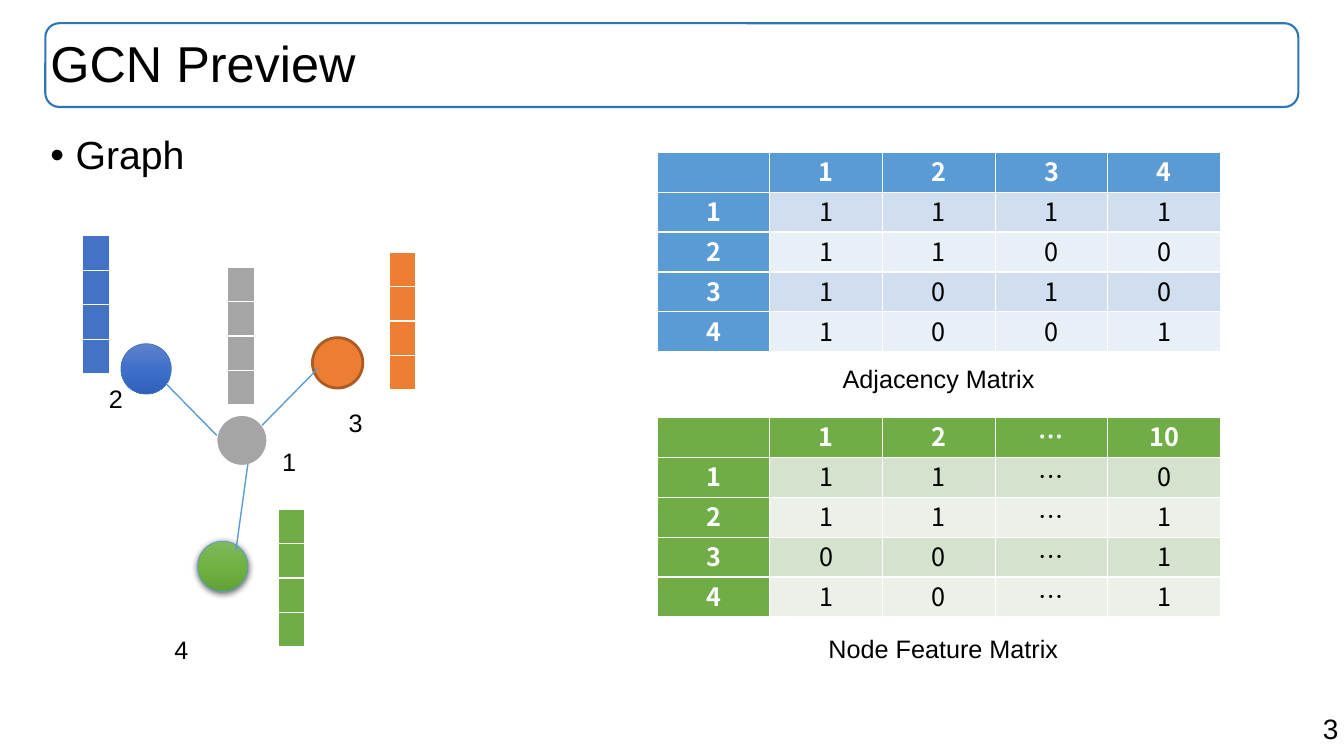
import copy

import pptx
import pptx.dml.color
import pptx.enum.shapes
import pptx.enum.text
import pptx.oxml
import pptx.oxml.ns
import pptx.util

Pt = pptx.util.Pt
RGB = pptx.dml.color.RGBColor
Shape = pptx.enum.shapes.MSO_SHAPE
Align = pptx.enum.text.PP_ALIGN
Anchor = pptx.enum.text.MSO_ANCHOR
Fit = pptx.enum.text.MSO_AUTO_SIZE
qn = pptx.oxml.ns.qn
DRAW = pptx.oxml.ns.nsdecls("a")

BLACK = RGB(0, 0, 0)
WHITE = RGB(255, 255, 255)
FRAME = RGB(0x2E, 0x75, 0xB6)
SKY = RGB(0x5B, 0x9B, 0xD5)
BLUE = RGB(0x44, 0x72, 0xC4)
GRAY = RGB(0xA5, 0xA5, 0xA5)
GREEN = RGB(0x70, 0xAD, 0x47)
ORANGE = RGB(0xED, 0x7D, 0x31)
RUST = RGB(0xAD, 0x5B, 0x24)
SKY_BANDS = RGB(0xD0, 0xDE, 0xEF), RGB(0xE9, 0xEF, 0xF7)
GREEN_BANDS = RGB(0xD4, 0xE2, 0xCE), RGB(0xEB, 0xF1, 0xE8)
BLUE_FADE = RGB(0x5F, 0x82, 0xCB), RGB(0x3E, 0x70, 0xCA), RGB(0x2F, 0x61, 0xBA)
GREEN_FADE = RGB(0x80, 0xB8, 0x60), RGB(0x6F, 0xB2, 0x42), RGB(0x61, 0xA2, 0x36)

ADJACENCY = [
    ["", "1", "2", "3", "4"],
    ["1", "1", "1", "1", "1"],
    ["2", "1", "1", "0", "0"],
    ["3", "1", "0", "1", "0"],
    ["4", "1", "0", "0", "1"],
]
FEATURES = [
    ["", "1", "2", "…", "10"],
    ["1", "1", "1", "…", "0"],
    ["2", "1", "1", "…", "1"],
    ["3", "0", "0", "…", "1"],
    ["4", "1", "0", "…", "1"],
]


def write(frame, text, size=18, font="Arial", color=BLACK, bold=False,
          align=Align.LEFT, space=None):
    para = frame.paragraphs[0]
    para.alignment = align
    if space:
        para.line_spacing = space
        para.space_before = Pt(0)
    run = para.add_run()
    run.text = text
    run.font.size = Pt(size)
    run.font.name = font
    run.font.bold = bold
    run.font.color.rgb = color


def inset(frame):
    frame.margin_left = frame.margin_right = Pt(3.6)
    frame.margin_top = frame.margin_bottom = Pt(3.6)


def place(holder, top, height, anchor):
    """Move a placeholder to the full-width column and reset its frame."""
    holder.left, holder.top = Pt(32.4), Pt(top)
    holder.width, holder.height = Pt(895), Pt(height)
    frame = holder.text_frame
    inset(frame)
    frame.auto_size = Fit.NONE
    frame.vertical_anchor = anchor
    return frame


def bullet(para):
    props = para._p.get_or_add_pPr()
    props.set("marL", str(Pt(18)))
    props.set("indent", str(-Pt(18)))
    props.append(pptx.oxml.parse_xml(f'<a:buFont {DRAW} typeface="Arial"/>'))
    props.append(pptx.oxml.parse_xml(f'<a:buChar {DRAW} char="•"/>'))


def label(slide, text, left, top, width, height=27.4, **style):
    box = slide.shapes.add_textbox(Pt(left), Pt(top), Pt(width), Pt(height))
    inset(box.text_frame)
    box.text_frame.word_wrap = False
    box.text_frame.auto_size = Fit.SHAPE_TO_FIT_TEXT
    write(box.text_frame, text, **style)


def outline(slide, kind, left, top, width, height, color, weight):
    shape = slide.shapes.add_shape(kind, Pt(left), Pt(top), Pt(width), Pt(height))
    shape.shadow.inherit = False
    shape.fill.background()
    shape.line.color.rgb = color
    shape.line.width = Pt(weight)
    return shape


def fade(shape, colors):
    """Fill from top to bottom with three evenly spaced colours."""
    shape.fill.gradient()
    shape.fill.gradient_angle = 270
    stops = shape._element.spPr.find(".//" + qn("a:gsLst"))
    stops.append(copy.deepcopy(stops[-1]))
    for i, color in enumerate(colors):
        stop = shape.fill.gradient_stops[i]
        stop.color.rgb = color
        stop.position = i / 2


def shade(shape):
    effects = shape._element.spPr.find(qn("a:effectLst"))
    effects.append(pptx.oxml.parse_xml(
        f'<a:outerShdw {DRAW} blurRad="{Pt(5)}" dist="{Pt(1.5)}" dir="5400000"'
        ' algn="ctr" rotWithShape="0"><a:srgbClr val="000000">'
        '<a:alpha val="63000"/></a:srgbClr></a:outerShdw>'))


def node(slide, left, top, fill, line, weight):
    dot = outline(slide, Shape.OVAL, left, top, 36, 36, line, weight)
    if isinstance(fill, RGB):
        dot.fill.solid()
        dot.fill.fore_color.rgb = fill
    else:
        fade(dot, fill)
    return dot


def edge(slide, x1, y1, x2, y2):
    line = slide.shapes.add_connector(
        pptx.enum.shapes.MSO_CONNECTOR.STRAIGHT, Pt(x1), Pt(y1), Pt(x2), Pt(y2))
    line.line.color.rgb = SKY
    line.line.width = Pt(1)
    line._element.spPr.append(pptx.oxml.parse_xml(f"<a:effectLst {DRAW}/>"))


def grid(slide, data, left, top, width, height, head, bands=None):
    """Table with a coloured head row and column, or one plain colour."""
    rows, cols = len(data), len(data[0])
    table = slide.shapes.add_table(
        rows, cols, Pt(left), Pt(top), Pt(width), Pt(height)).table
    table.first_row = table.first_col = bands is not None
    table.horz_banding = False
    for r, row in enumerate(data):
        table.rows[r].height = Pt(height / rows)
        for c, text in enumerate(row):
            cell = table.cell(r, c)
            cell.margin_left = cell.margin_right = Pt(0)
            cell.margin_top = cell.margin_bottom = Pt(0)
            main = not bands or r == 0 or c == 0
            cell.fill.solid()
            cell.fill.fore_color.rgb = head if main else bands[(r - 1) % 2]
            write(cell.text_frame, text, font="Noto Sans CJK KR", bold=main,
                  color=WHITE if main else BLACK, align=Align.CENTER)


def main():
    deck = pptx.Presentation()
    deck.slide_width, deck.slide_height = Pt(960), Pt(540)
    slide = deck.slides.add_slide(deck.slide_layouts[1])

    frame = outline(slide, Shape.ROUNDED_RECTANGLE, 32.4, 16.6, 895, 59.8, FRAME, 1.5)
    slide.shapes.title._element.addprevious(frame._element)
    title = place(slide.shapes.title, 17.3, 59.8, Anchor.MIDDLE)
    write(title, "GCN Preview", size=36, space=0.9)
    body = place(slide.placeholders[1], 93.6, 398.2, Anchor.TOP)
    write(body, "Graph", size=28, space=0.9)
    bullet(body.paragraphs[0])
    label(slide, "3", 940.3, 504.7, 19.4, 29.5, size=20, align=Align.RIGHT)

    node(slide, 86.4, 245.5, BLUE_FADE, BLUE, 0.5)
    node(slide, 154.8, 296.6, GRAY, WHITE, 1)
    shade(node(slide, 141.1, 386.6, GREEN_FADE, SKY, 0.5))
    node(slide, 223.2, 241.2, ORANGE, RUST, 2)
    for left, top, color in [(162.7, 190.8, GRAY), (59, 168.5, BLUE),
                             (198.7, 363.6, GREEN), (277.9, 180, ORANGE)]:
        grid(slide, [[""]] * 4, left, top, 19.1, 98.6, color)
    for text, left, top in [("1", 198, 315.4), ("3", 245.5, 287.3),
                            ("2", 74.2, 270), ("4", 121, 449.3)]:
        label(slide, text, left, top, 18)
    edge(slide, 187.2, 303.8, 226.8, 263.5)
    edge(slide, 154.8, 311, 118.8, 274.3)
    edge(slide, 177.1, 331.2, 168.5, 393.1)

    grid(slide, ADJACENCY, 469.4, 108.7, 402.5, 142.6, SKY, SKY_BANDS)
    grid(slide, FEATURES, 469.4, 298.1, 402.5, 142.6, GREEN, GREEN_BANDS)
    label(slide, "Adjacency Matrix", 598.3, 256.3, 145.4)
    label(slide, "Node Feature Matrix", 588.2, 448.6, 172.1)
    deck.save("out.pptx")


if __name__ == "__main__":
    main()
